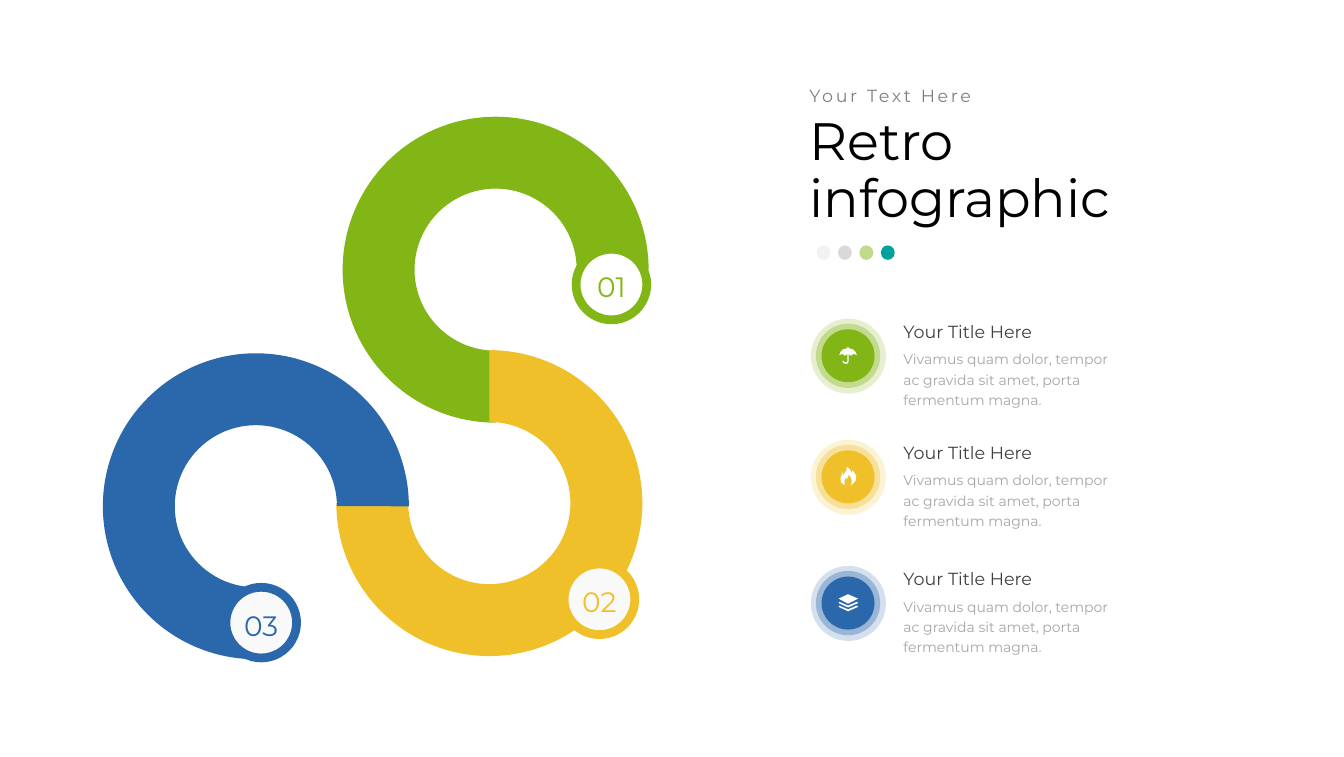
from dataclasses import dataclass

from lxml.etree import SubElement
from pptx import Presentation
from pptx.dml.color import RGBColor
from pptx.enum.shapes import MSO_SHAPE as Shape
from pptx.enum.text import MSO_AUTO_SIZE as AutoSize, PP_ALIGN as Align
from pptx.oxml.ns import qn
from pptx.shapes.autoshape import Shape as AutoShape
from pptx.shapes.shapetree import GroupShapes, SlideShapes
from pptx.util import Pt

SCALE = 9144
Canvas = SlideShapes | GroupShapes
Contour = list[tuple[int, int]]


@dataclass(frozen=True)
class Theme:
    font: str = "Montserrat"
    green: str = "82B617"
    yellow: str = "F0C02B"
    blue: str = "2B68AB"
    teal: str = "00A39B"
    white: str = "FFFFFF"
    off_white: str = "F9F9F9"
    pale: str = "F2F2F2"
    silver: str = "D9D9D9"
    title: str = "000000"
    kicker: str = "808080"
    heading: str = "404040"
    body: str = "A6A6A6"
    title_size: int = 60
    number_size: int = 32
    heading_size: int = 20
    body_size: int = 16


THEME = Theme()


@dataclass(frozen=True)
class Ring:
    left: int
    top: int
    start: int
    end: int
    color: str


@dataclass(frozen=True)
class Marker:
    number: str
    left: int
    top: int
    color: str
    fill: str


@dataclass(frozen=True)
class Dot:
    color: str
    opacity: int = 100


@dataclass(frozen=True)
class Item:
    middle: int
    color: str
    icon: list[Contour]


UMBRELLA = [[
    (14, -1), (12, -6), (8, -10), (1, -12), (1, -14), (-1, -14), (-1, -12),
    (-8, -10), (-12, -6), (-14, -1), (-9, -3), (-5, 0), (-1, -3), (-1, 8),
    (-2, 10), (-4, 10), (-6, 10), (-7, 8), (-9, 8), (-8, 11), (-4, 13),
    (0, 12), (1, 8), (1, -3), (4, 0), (9, -3),
]]
FLAME = [[
    (-5, 13), (-6, 9), (-5, 5), (-3, 0), (-2, 4), (0, 0), (0, -4), (4, 0),
    (6, 6), (5, 13), (12, 6), (13, -2), (7, -11), (6, -5), (3, -12),
    (-2, -16), (-3, -9), (-8, -3), (-9, -8), (-10, -3), (-12, 2), (-11, 9),
]]
LAYERS = [[(-15, -7), (0, -14), (16, -7), (0, 1)]] + [
    [(-14, y), (0, y + 6), (14, y), (16, y + 2), (0, y + 9), (-15, y + 2)]
    for y in (-2, 4)
]

RING_SIZE, RING_WIDTH = 485, 114
MARKER_SIZE, MARKER_LINE = 112, 10
BADGE_CENTER = 1344
BADGE_DISCS = ((119, 20), (102, 35), (84, 100))
DOT_LEFT, DOT_TOP, DOT_STEP = 1294, 389, 34
ITEM_HEADING = "Your Title Here"
ITEM_BODY = "Vivamus quam dolor, tempor ac gravida sit amet, porta fermentum magna."

RINGS = [
    Ring(543, 185, 90, 0, THEME.green),
    Ring(533, 555, 270, 180, THEME.yellow),
    Ring(163, 560, 90, 0, THEME.blue),
]
MARKERS = [
    Marker("01", 913, 395, THEME.green, THEME.white),
    Marker("03", 358, 931, THEME.blue, THEME.off_white),
    Marker("02", 894, 894, THEME.yellow, THEME.off_white),
]
DOTS = [Dot(THEME.pale), Dot(THEME.silver, 98), Dot(THEME.green, 50), Dot(THEME.teal)]
ITEMS = [
    Item(564, THEME.green, UMBRELLA),
    Item(756, THEME.yellow, FLAME),
    Item(956, THEME.blue, LAYERS),
]


def px(*lengths: int) -> list[int]:
    return [length * SCALE for length in lengths]


def paint(shape: AutoShape, color: str, opacity: int = 100) -> None:
    shape.shadow.inherit = False
    shape.line.fill.background()
    shape.fill.solid()
    shape.fill.fore_color.rgb = RGBColor.from_string(color)
    if opacity < 100:
        tint = shape.fill._xPr.find(qn("a:solidFill"))[0]
        SubElement(tint, qn("a:alpha"), val=str(opacity * 1000))


def add_ellipse(canvas: Canvas, left: int, top: int, width: int, height: int,
                color: str, opacity: int = 100) -> AutoShape:
    ellipse = canvas.add_shape(Shape.OVAL, *px(left, top, width, height))
    paint(ellipse, color, opacity)
    return ellipse


def add_text(canvas: Canvas, left: int, top: int, width: int, height: int,
             lines: list[str], size: int, color: str, line_spacing: float = 1.0,
             align: Align = Align.LEFT, tracking: int = 0, grow: bool = True) -> None:
    box = canvas.add_textbox(*px(left, top, width, height))
    frame = box.text_frame
    frame.word_wrap = True
    frame.auto_size = AutoSize.SHAPE_TO_FIT_TEXT if grow else AutoSize.NONE
    frame.text = "\n".join(lines)
    for para in frame.paragraphs:
        para.alignment = align
        para.line_spacing = line_spacing
        para.font.name = THEME.font
        para.font.size = Pt(size)
        para.font.color.rgb = RGBColor.from_string(color)
        if tracking:
            for span in para.runs:
                span.font._element.set("spc", str(tracking * 100))


def add_ring(canvas: Canvas, ring: Ring) -> None:
    arc = canvas.add_shape(Shape.BLOCK_ARC, *px(ring.left, ring.top, RING_SIZE, RING_SIZE))
    arc.adjustments[0] = ring.start * 0.6
    arc.adjustments[1] = ring.end * 0.6
    arc.adjustments[2] = RING_WIDTH / RING_SIZE
    paint(arc, ring.color)


def add_marker(canvas: Canvas, marker: Marker) -> None:
    circle = add_ellipse(canvas, marker.left, marker.top, MARKER_SIZE, MARKER_SIZE, marker.fill)
    circle.line.color.rgb = RGBColor.from_string(marker.color)
    circle.line.width = Pt(MARKER_LINE)
    add_text(canvas, marker.left + 7, marker.top + 28, 98, 64, [marker.number],
             THEME.number_size, marker.color, align=Align.CENTER)


def add_icon(canvas: Canvas, middle: int, contours: list[Contour]) -> None:
    placed = [[(BADGE_CENTER + x, middle + y) for x, y in contour] for contour in contours]
    builder = canvas.build_freeform(*placed[0][0], scale=SCALE)
    for contour in placed:
        if contour is not placed[0]:
            builder.move_to(*contour[0])
        builder.add_line_segments(contour[1:], close=True)
    paint(builder.convert_to_shape(), THEME.white)


def add_item(canvas: Canvas, item: Item) -> None:
    add_text(canvas, 1422, item.middle - 67, 373, 50, [ITEM_HEADING],
             THEME.heading_size, THEME.heading, 1.2)
    add_text(canvas, 1422, item.middle - 18, 361, 107, [ITEM_BODY],
             THEME.body_size, THEME.body, 1.2)
    badge = canvas.add_group_shape().shapes
    for size, opacity in BADGE_DISCS:
        add_ellipse(badge, BADGE_CENTER - size // 2, item.middle - size // 2,
                    size, size, item.color, opacity)
    add_icon(badge, item.middle, item.icon)


def main() -> None:
    deck = Presentation()
    deck.slide_width, deck.slide_height = px(2130, 1200)
    page = deck.slides.add_slide(deck.slide_layouts[6])
    chain = page.shapes.add_group_shape().shapes
    for ring in RINGS:
        add_ring(chain, ring)
    for marker in MARKERS:
        add_marker(chain, marker)
    add_text(page.shapes, 1273, 178, 516, 197, ["Retro", "infographic"],
             THEME.title_size, THEME.title, 0.9, grow=False)
    add_text(page.shapes, 1273, 134, 314, 44, ["Your Text Here"],
             THEME.heading_size, THEME.kicker, 0.9, tracking=3, grow=False)
    dots = page.shapes.add_group_shape().shapes
    for index, dot in enumerate(DOTS):
        add_ellipse(dots, DOT_LEFT + index * DOT_STEP, DOT_TOP, 22, 23, dot.color, dot.opacity)
    for item in ITEMS:
        add_item(page.shapes, item)
    deck.save("out.pptx")


if __name__ == "__main__":
    main()
